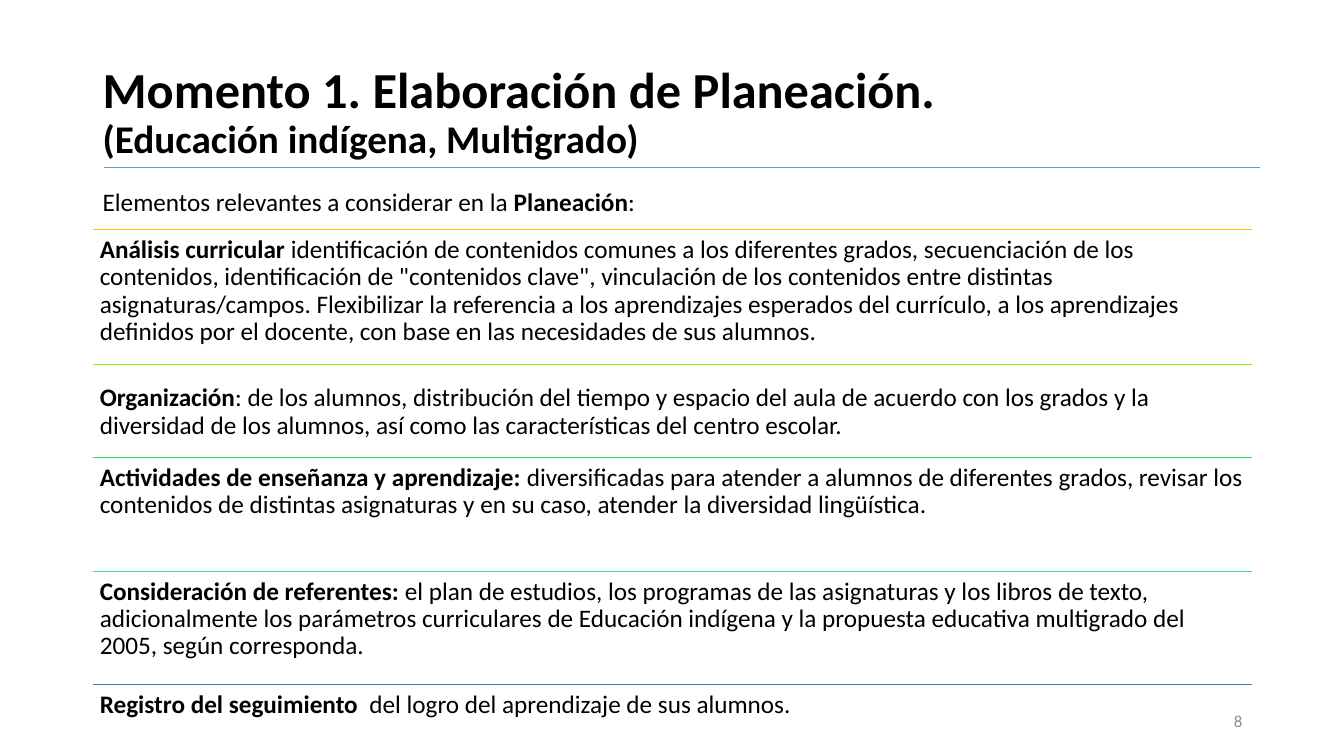
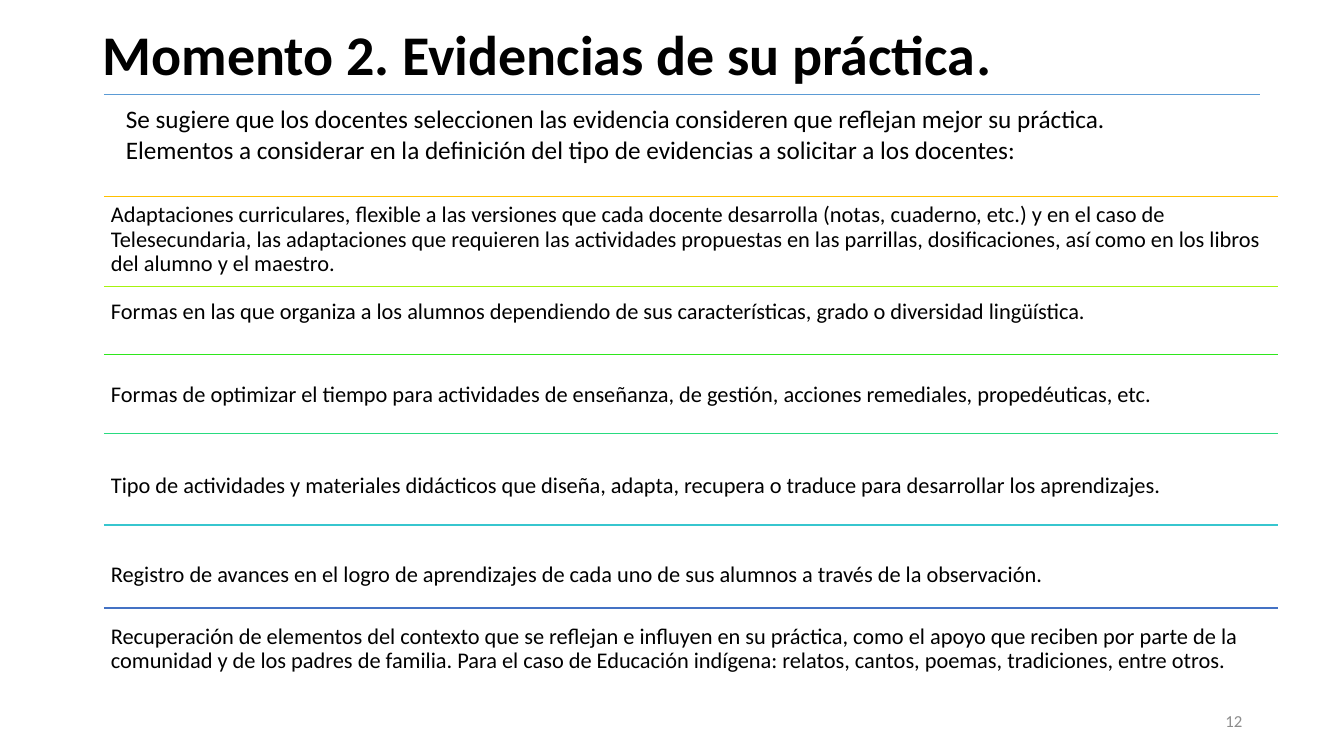
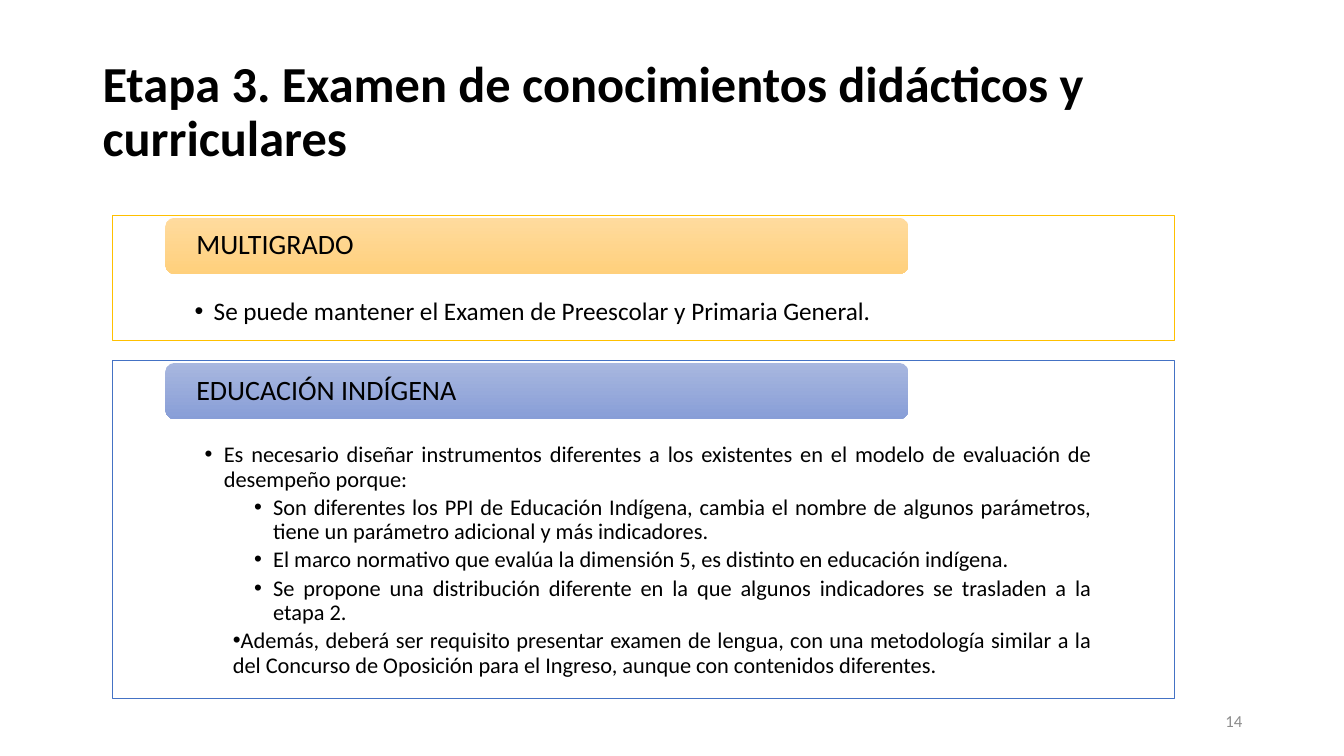
import pptx
import pptx.dml.color
import pptx.enum.shapes
import pptx.enum.text
import pptx.oxml.ns
import pptx.util
from lxml import etree

Inches = pptx.util.Inches
Pt = pptx.util.Pt
RGBColor = pptx.dml.color.RGBColor
Shape = pptx.enum.shapes.MSO_SHAPE
Align = pptx.enum.text.PP_ALIGN
Anchor = pptx.enum.text.MSO_ANCHOR
qn = pptx.oxml.ns.qn

BLACK = RGBColor(0x00, 0x00, 0x00)
WHITE = RGBColor(0xFF, 0xFF, 0xFF)
GRAY = RGBColor(0x8C, 0x8C, 0x8C)
SKY = RGBColor(0x5B, 0x9B, 0xD5)
GOLD = RGBColor(0xFF, 0xC0, 0x00)
LIME = RGBColor(0x86, 0xF0, 0x11)
GREEN = RGBColor(0x23, 0xE1, 0x48)
TURQUOISE = RGBColor(0x33, 0xD2, 0xC5)
BLUE = RGBColor(0x44, 0x72, 0xC4)
YELLOW_GREEN = RGBColor(0xA7, 0xF3, 0x0E)
BRIGHT_GREEN = RGBColor(0x2E, 0xE7, 0x1C)
MINT = RGBColor(0x29, 0xDB, 0x80)
CYAN = RGBColor(0x37, 0xC6, 0xCF)
GOLD_FADE = (RGBColor(0xFF, 0xDB, 0x9E), RGBColor(0xFF, 0xD0, 0x7C))
BLUE_FADE = (RGBColor(0xA8, 0xB7, 0xDF), RGBColor(0x88, 0x9E, 0xD7))

BOLD = {"bold": True}
TEXT_INSETS = (0.1, 0.05, 0.1, 0.05)
ROW_INSETS = (0.07, 0.07, 0.07, 0.07)
LABEL_INSETS = (0.28, 0, 0.28, 0)
SLIDE_HEIGHT = 7.5


class SlideBuilder:
    font = {"name": "Calibri", "bold": False}

    def __init__(self):
        self.deck = pptx.Presentation()
        self.deck.slide_width = Inches(13.33)
        self.deck.slide_height = Inches(SLIDE_HEIGHT)
        self.page = None

    def new_page(self, number, title, title_size, title_top=0.4):
        self.page = self.deck.slides.add_slide(self.deck.slide_layouts[6])
        self.text((0.92, title_top, 11.5, 1.45), [title], title_size,
                  font=BOLD, anchor=Anchor.MIDDLE, line_spacing=0.9)
        self.text((9.42, 6.95, 3, 0.4), [[(str(number), {})]], 12,
                  font={"color": GRAY}, anchor=Anchor.MIDDLE, alignment=Align.RIGHT)

    def style_font(self, font, values):
        for name, value in values.items():
            if name == "color":
                font.color.rgb = value
            else:
                setattr(font, name, value)

    def fill_frame(self, box, paragraphs, size, font=None, insets=TEXT_INSETS,
                   anchor=Anchor.TOP, bullets=None, **para_format):
        frame = box.text_frame
        left, top, right, bottom = insets
        settings = {
            "word_wrap": True, "vertical_anchor": anchor,
            "margin_left": Inches(left), "margin_top": Inches(top),
            "margin_right": Inches(right), "margin_bottom": Inches(bottom),
        }
        for name, value in settings.items():
            setattr(frame, name, value)
        base = {**self.font, "size": Pt(size), "color": BLACK, **(font or {})}
        para_format = {"alignment": Align.LEFT, **para_format}
        for index, spans in enumerate(paragraphs):
            para = frame.add_paragraph() if index else frame.paragraphs[0]
            for name, value in para_format.items():
                setattr(para, name, value)
            if bullets:
                self.bullet(para, *bullets[index])
            for words, changes in spans:
                if words == "\n":
                    para.add_line_break()
                    continue
                span = para.add_run()
                span.text = words
                self.style_font(span.font, {**base, **changes})

    def bullet(self, para, level, margin, indent):
        para.level = level
        properties = para._p.get_or_add_pPr()
        properties.set("marL", str(Inches(margin)))
        properties.set("indent", str(Inches(indent)))
        etree.SubElement(properties, qn("a:buFont")).set("typeface", "Arial")
        etree.SubElement(properties, qn("a:buChar")).set("char", "•")

    def text(self, place, paragraphs, size, **style):
        box = self.page.shapes.add_textbox(*map(Inches, place))
        self.fill_frame(box, paragraphs, size, **style)

    def rule(self, left, right, top, color, width=0.5):
        line = self.page.shapes.add_connector(
            pptx.enum.shapes.MSO_CONNECTOR.STRAIGHT,
            Inches(left), Inches(top), Inches(right), Inches(top))
        line.line.color.rgb = color
        line.line.width = Pt(width)
        etree.SubElement(line._element.spPr, qn("a:effectLst"))

    def row_list(self, left, width, height, rows, size, rule_width):
        for rule_top, text_top, color, spans in rows:
            self.rule(left, left + width, rule_top, color, rule_width)
            row_height = min(height, SLIDE_HEIGHT - text_top)
            self.text((left, text_top, width, row_height), [spans], size,
                      insets=ROW_INSETS, line_spacing=0.9)

    def panel(self, top, height, color, fade, label, paragraphs, size, bullets):
        frame = self.page.shapes.add_shape(
            Shape.RECTANGLE, *map(Inches, (1.11, top, 10.54, height)))
        frame.shadow.inherit = False
        frame.fill.solid()
        frame.fill.fore_color.rgb = WHITE
        frame.line.color.rgb = color
        frame.line.width = Pt(0.5)
        self.fill_frame(frame, paragraphs, size, insets=(0.82, 0.82, 0.82, 0.12),
                        bullets=bullets, alignment=Align.JUSTIFY,
                        line_spacing=0.9, space_after=Pt(3))
        tab = self.page.shapes.add_shape(
            Shape.ROUNDED_RECTANGLE, *map(Inches, (1.64, top + 0.02, 7.37, 0.56)))
        tab.shadow.inherit = False
        tab.line.fill.background()
        tab.fill.gradient()
        tab.fill.gradient_angle = 270
        for stop, shade in zip(tab.fill.gradient_stops, fade):
            stop.color.rgb = shade
        self.fill_frame(tab, [[(label, {})]], 20, insets=LABEL_INSETS,
                        anchor=Anchor.MIDDLE, line_spacing=0.9)


def planning_page(builder):
    builder.new_page(8, [
        ("Momento 1. Elaboración de Planeación.", {}), ("\n", {}),
        ("(Educación indígena, Multigrado)", {"size": Pt(28)})], 36)
    rows = [
        (2.28, 2.28, GOLD, "Análisis curricular", " identificación de contenidos comunes a los diferentes grados, secuenciación de los contenidos, identificación de \"contenidos clave\", vinculación de los contenidos entre distintas asignaturas/campos. Flexibilizar la referencia a los aprendizajes esperados del currículo, a los aprendizajes definidos por el docente, con base en las necesidades de sus alumnos."),
        (3.61, 3.75, LIME, "Organización", ": de los alumnos, distribución del tiempo y espacio del aula de acuerdo con los grados y la diversidad de los alumnos, así como las características del centro escolar."),
        (4.54, 4.54, GREEN, "Actividades de enseñanza y aprendizaje: ", "diversificadas para atender a alumnos de diferentes grados, revisar los contenidos de distintas asignaturas y en su caso, atender la diversidad lingüística."),
        (5.67, 5.67, TURQUOISE, "Consideración de referentes: ", "el plan de estudios, los programas de las asignaturas y los libros de texto, adicionalmente los parámetros curriculares de Educación indígena y la propuesta educativa multigrado del 2005, según corresponda."),
        (6.79, 6.79, BLUE, "Registro del seguimiento ", " del logro del aprendizaje de sus alumnos."),
    ]
    builder.row_list(0.92, 11.5, 1.13, [
        (rule_top, text_top, color, [(lead, BOLD), (rest, {})])
        for rule_top, text_top, color, lead, rest in rows], 18, 0.5)
    builder.rule(1.03, 12.5, 1.66, SKY)
    builder.text((0.92, 1.8, 9.15, 0.4), [[
        ("Elementos relevantes a considerar en la ", {}),
        ("Planeación", BOLD), (":", {})]], 18)


def evidence_page(builder):
    builder.new_page(12, [
        ("Momento 2. Evidencias de su práctica", {}),
        (".", {"size": Pt(49), "bold": False})], 40, title_top=-0.2)
    rows = [
        (1.95, 1.95, GOLD, "Adaptaciones curriculares, flexible a las versiones que cada docente desarrolla (notas, cuaderno, etc.) y en el caso de Telesecundaria, las adaptaciones que requieren las actividades propuestas en las parrillas, dosificaciones, así como en los libros del alumno y el maestro."),
        (2.84, 2.91, YELLOW_GREEN, "Formas en las que organiza a los alumnos dependiendo de sus características, grado o diversidad lingüística."),
        (3.52, 3.73, BRIGHT_GREEN, "Formas de optimizar el tiempo para actividades de enseñanza, de gestión, acciones remediales, propedéuticas, etc."),
        (4.3, 4.63, MINT, "Tipo de actividades y materiales didácticos que diseña, adapta, recupera o traduce para desarrollar los aprendizajes."),
        (5.21, 5.52, CYAN, "Registro de avances en el logro de aprendizajes de cada uno de sus alumnos a través de la observación."),
        (6.03, 6.13, BLUE, "Recuperación de elementos del contexto que se reflejan e influyen en su práctica, como el apoyo que reciben por parte de la comunidad y de los padres de familia. Para el caso de Educación indígena: relatos, cantos, poemas, tradiciones, entre otros."),
    ]
    builder.row_list(1.03, 11.65, 0.89, [
        (rule_top, text_top, color, [(words, {})])
        for rule_top, text_top, color, words in rows], 16, 1)
    builder.rule(1.03, 12.5, 0.94, SKY)
    builder.text((1.15, 0.98, 11.22, 0.71), [
        [("Se sugiere que los docentes seleccionen las evidencia consideren que reflejan mejor su práctica.", {})],
        [("Elementos a considerar en la definición del tipo de evidencias a solicitar a los docentes:", {})]], 18)


def exam_page(builder):
    builder.new_page(14, [
        ("Etapa 3. Examen de conocimientos didácticos y curriculares", {})], 36)
    builder.panel(2.14, 1.24, GOLD, GOLD_FADE, "MULTIGRADO", [
        [("Se puede mantener el Examen de Preescolar y Primaria General.", {})],
    ], 18, [(1, 0.19, -0.19)])
    reasons = [
        "Es necesario diseñar instrumentos diferentes a los existentes en el modelo de evaluación de desempeño porque:",
        "Son diferentes los PPI de Educación Indígena, cambia el nombre de algunos parámetros, tiene un parámetro adicional y más indicadores.",
        "El marco normativo que evalúa la dimensión 5, es distinto en educación indígena.",
        "Se propone una distribución diferente en la que algunos indicadores se trasladen a la etapa 2.",
        "Además, deberá ser requisito presentar examen de lengua, con una metodología similar a la del Concurso de Oposición para el Ingreso, aunque con contenidos diferentes.",
    ]
    detail = (2, 0.78, -0.19)
    builder.panel(3.58, 3.35, BLUE, BLUE_FADE, "EDUCACIÓN INDÍGENA",
                  [[(reason, {})] for reason in reasons], 16,
                  [(1, 0.29, -0.19), detail, detail, detail, (1, 0.38, 0)])


def main():
    builder = SlideBuilder()
    for build_page in (planning_page, evidence_page, exam_page):
        build_page(builder)
    builder.deck.save("out.pptx")


if __name__ == "__main__":
    main()
